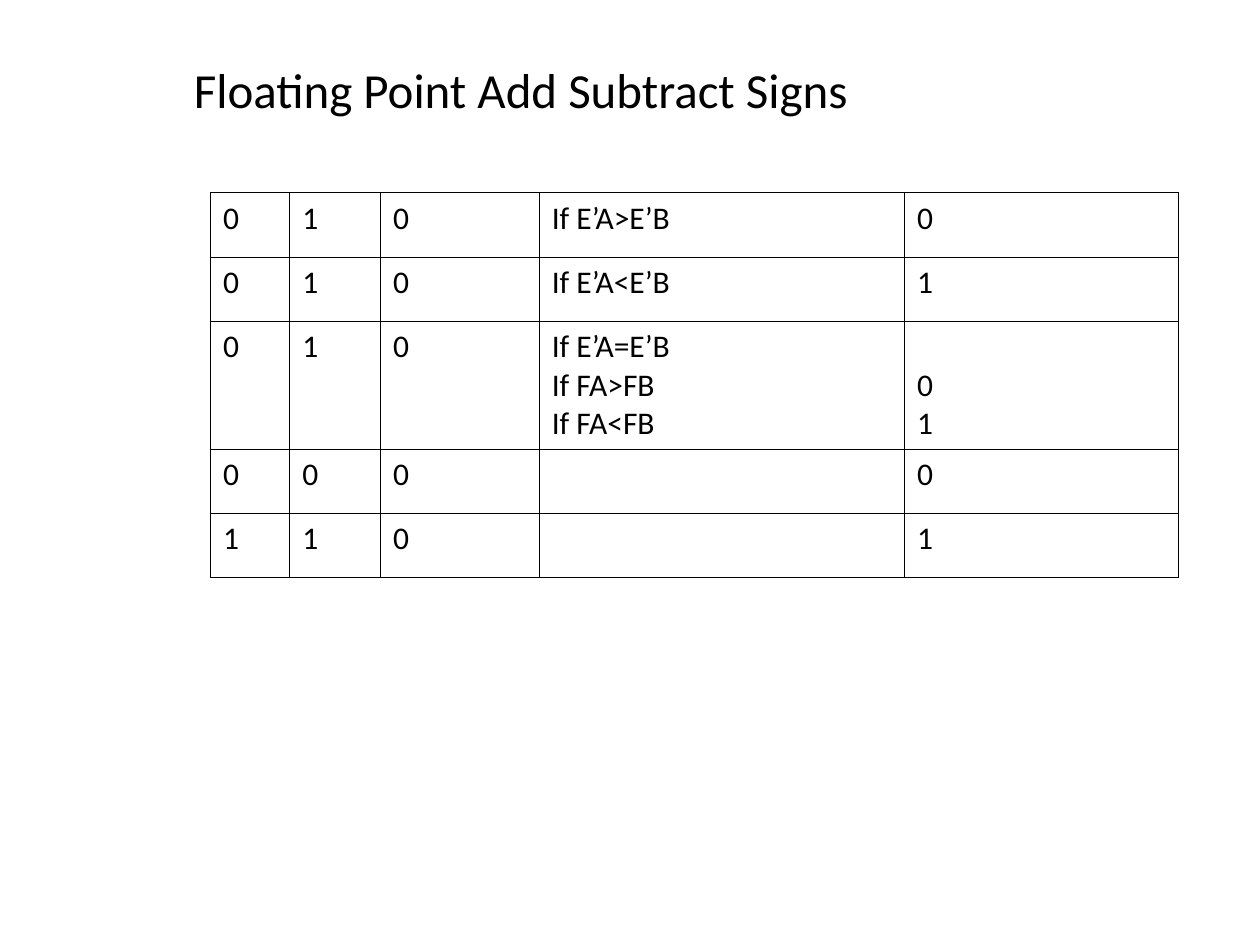
"""Build the slide of sign rules for floating point addition and subtraction."""

from dataclasses import dataclass

from lxml import etree
from pptx import Presentation
from pptx.dml.color import RGBColor
from pptx.enum.text import MSO_ANCHOR, MSO_AUTO_SIZE
from pptx.oxml.ns import qn
from pptx.slide import Slide
from pptx.table import _Cell
from pptx.text.text import _Paragraph
from pptx.util import Inches, Pt

TOP = MSO_ANCHOR.TOP
BOTTOM = MSO_ANCHOR.BOTTOM
FIT_TEXT = MSO_AUTO_SIZE.SHAPE_TO_FIT_TEXT


@dataclass(frozen=True)
class Theme:
    font: str = "Calibri"
    ink: str = "000000"
    title_size: int = 28
    body_size: int = 18
    border_width: float = 0.45


@dataclass(frozen=True)
class SignRule:
    sign_a: str
    operation: str
    sign_b: str
    condition: str
    result: str
    height: float = 0.51
    result_anchor: MSO_ANCHOR = TOP


THEME = Theme()
TITLE = "Floating Point Add Subtract Signs"
COLUMN_WIDTHS = (0.63, 0.72, 1.26, 2.9, 2.17)
SIGN_RULES = (
    SignRule("0", "1", "0", "If E’A>E’B", "0"),
    SignRule("0", "1", "0", "If E’A<E’B", "1"),
    SignRule("0", "1", "0", "If E’A=E’B\nIf FA>FB\nIf FA<FB", "0\n1", 1, BOTTOM),
    SignRule("0", "0", "0", "", "0"),
    SignRule("1", "1", "0", "", "1"),
)


def style_paragraph(paragraph: _Paragraph, size: int) -> None:
    """Apply the theme font at the given size."""
    paragraph.font.name = THEME.font
    paragraph.font.size = Pt(size)
    paragraph.font.color.rgb = RGBColor.from_string(THEME.ink)


def add_title(slide: Slide) -> None:
    """Add the slide heading."""
    shape = slide.shapes.add_textbox(Inches(1.44), Inches(0.42), Inches(5.41), Inches(0.57))
    shape.text_frame.word_wrap = False
    shape.text_frame.auto_size = FIT_TEXT
    shape.text_frame.text = TITLE
    style_paragraph(shape.text_frame.paragraphs[0], THEME.title_size)


def add_borders(cell: _Cell) -> None:
    """Draw a thin line on all four sides of a cell."""
    properties = cell._tc.get_or_add_tcPr()
    for side in ("a:lnL", "a:lnR", "a:lnT", "a:lnB"):
        line = etree.SubElement(properties, qn(side), w=str(Pt(THEME.border_width)))
        fill = etree.SubElement(line, qn("a:solidFill"))
        etree.SubElement(fill, qn("a:srgbClr"), val=THEME.ink)


def fill_cell(cell: _Cell, text: str, anchor: MSO_ANCHOR) -> None:
    """Write and style one table cell."""
    cell.text = text
    cell.vertical_anchor = anchor
    add_borders(cell)
    cell.fill.background()
    for paragraph in cell.text_frame.paragraphs:
        style_paragraph(paragraph, THEME.body_size)


def add_sign_table(slide: Slide) -> None:
    """Add the table with one row for each sign rule."""
    width = Inches(sum(COLUMN_WIDTHS))
    height = Inches(sum(rule.height for rule in SIGN_RULES))
    table = slide.shapes.add_table(
        len(SIGN_RULES), len(COLUMN_WIDTHS), Inches(1.67), Inches(1.53), width, height
    ).table
    table.first_row = False
    table.horz_banding = False
    for column, column_width in zip(table.columns, COLUMN_WIDTHS):
        column.width = Inches(column_width)
    for row, rule in zip(table.rows, SIGN_RULES):
        row.height = Inches(rule.height)
        texts = (rule.sign_a, rule.operation, rule.sign_b, rule.condition, rule.result)
        anchors = (TOP,) * 4 + (rule.result_anchor,)
        for cell, text, anchor in zip(row.cells, texts, anchors):
            fill_cell(cell, text, anchor)


def main() -> None:
    """Build and save the presentation."""
    presentation = Presentation()
    presentation.slide_width = Inches(10)
    presentation.slide_height = Inches(7.5)
    slide = presentation.slides.add_slide(presentation.slide_layouts[6])
    add_sign_table(slide)
    add_title(slide)
    presentation.save("out.pptx")


if __name__ == "__main__":
    main()
